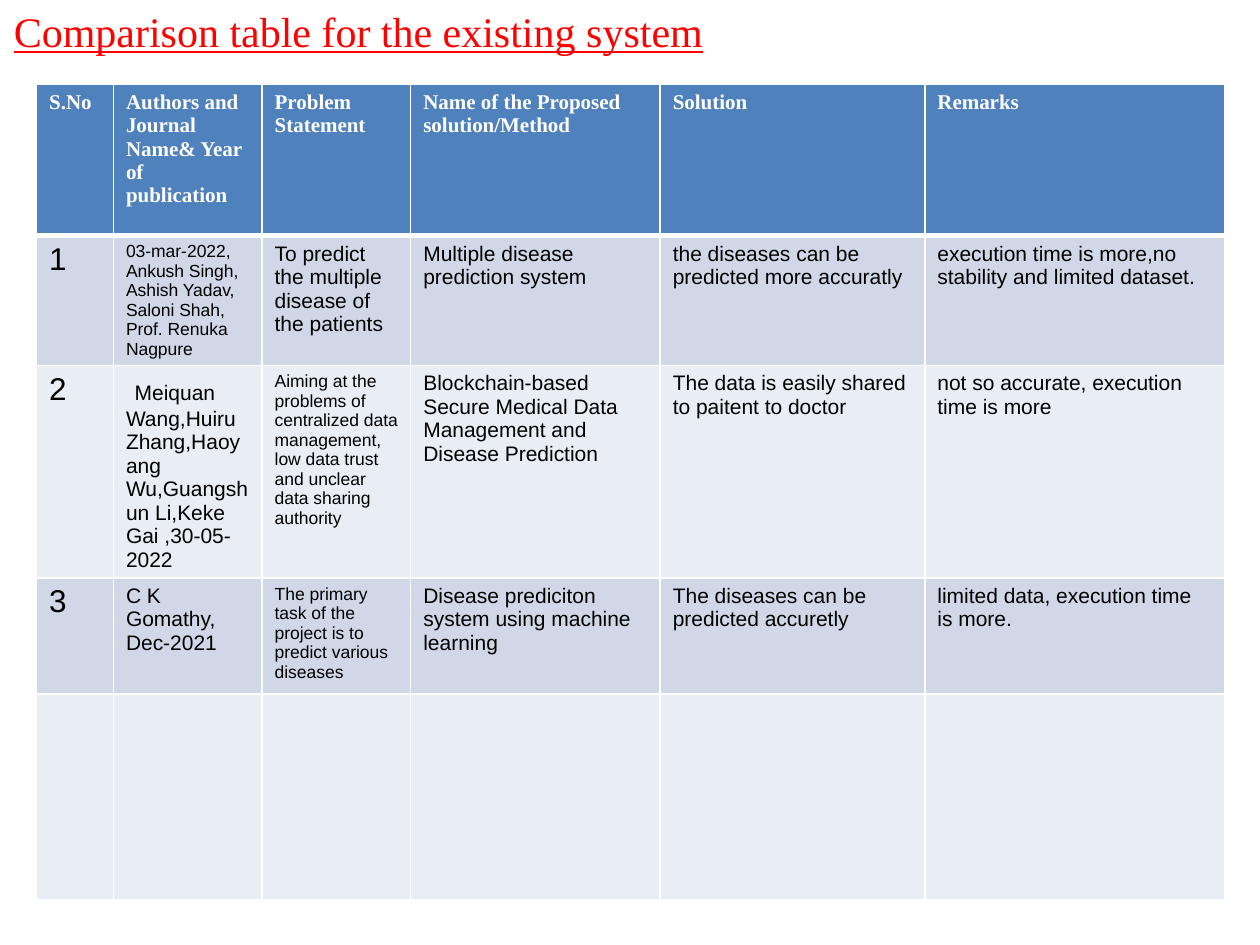
from lxml import etree
from pptx import Presentation
from pptx.dml.color import RGBColor
from pptx.enum import text
from pptx.oxml import ns
from pptx.util import Inches, Pt

COLORS = {"title": "FF0000", "header": "4F81BD", "odd": "D0D8E8",
          "even": "E9EDF4", "white": "FFFFFF", "body": "000000"}
SERIF, SANS = "Times New Roman", "Arial"

COLUMN_WIDTHS = [0.61, 1.18, 1.18, 1.98, 2.1, 2.38]
ROW_HEIGHTS = [1.2, 0.97, 1.58, 0.92, 1.63]
HEADINGS = ["S.No", "Authors and Journal Name& Year of publication",
            "Problem Statement", "Name of the Proposed solution/Method",
            "Solution ", "Remarks"]
# A cell is a list of paragraphs; a paragraph is a list of (text, size) runs
STUDIES = [
    [[[("1", 18)]],
     [[("03-mar-2022,", 10)],
      [("Ankush Singh, Ashish Yadav, Saloni Shah, Prof. Renuka Nagpure", 10)]],
     [[("To predict the multiple disease of the patients", 12)]],
     [[("Multiple disease prediction system", 12)]],
     [[("the diseases can be predicted more accuratly", 12)]],
     [[("execution time is more,no stability and limited dataset.", 12)]]],
    [[[("2", 18)]],
     [[(" ", 18), ("Meiquan Wang,Huiru Zhang,Haoyang Wu,Guangshun Li,"
                   "Keke Gai ,30-05-2022", 12)]],
     [[("Aiming at the problems of centralized data management, "
        "low data trust and unclear data sharing authority", 10)]],
     [[("Blockchain-based Secure Medical Data Management and "
        "Disease Prediction", 12)]],
     [[("The data is easily shared to paitent to doctor", 12)]],
     [[("not so accurate, execution time is more", 12)]]],
    [[[("3", 18)]],
     [[("C K Gomathy,", 12)], [("Dec-2021", 12)]],
     [[("The primary task of the project is to predict various diseases", 10)]],
     [[("Disease prediciton system using machine learning", 12)]],
     [[("The diseases can be predicted accuretly", 12)]],
     [[("limited data, execution time is more.", 12)]]],
]


def rgb(name):
    return RGBColor.from_string(COLORS[name])


def add_run(paragraph, words, size, font_name, color, bold=False):
    run = paragraph.add_run()
    run.text = words
    run.font.size = Pt(size)
    run.font.name = font_name
    run.font.bold = bold
    run.font.color.rgb = rgb(color)
    return run


def set_borders(cell, bottom_width):
    properties = cell._tc.get_or_add_tcPr()
    widths = {"a:lnL": 1, "a:lnR": 1, "a:lnT": 1, "a:lnB": bottom_width}
    for index, (tag, width) in enumerate(widths.items()):
        line = etree.Element(ns.qn(tag), w=str(Pt(width)))
        fill = etree.SubElement(line, ns.qn("a:solidFill"))
        etree.SubElement(fill, ns.qn("a:srgbClr"), val=COLORS["white"])
        properties.insert(index, line)


def fill_cell(cell, paragraphs, fill, font_name, color, bold):
    cell.fill.solid()
    cell.fill.fore_color.rgb = rgb(fill)
    set_borders(cell, 3 if fill == "header" else 1)
    frame = cell.text_frame
    for index, runs in enumerate(paragraphs):
        paragraph = frame.add_paragraph() if index else frame.paragraphs[0]
        for words, size in runs:
            add_run(paragraph, words, size, font_name, color, bold)


def place_title(slide, left, top, width, height):
    title = slide.shapes.title
    title.left, title.top = Inches(left), Inches(top)
    title.width, title.height = Inches(width), Inches(height)
    frame = title.text_frame
    frame.word_wrap = True
    frame.auto_size = text.MSO_AUTO_SIZE.NONE
    frame.vertical_anchor = text.MSO_ANCHOR.TOP
    paragraph = frame.paragraphs[0]
    paragraph.alignment = text.PP_ALIGN.LEFT
    run = add_run(paragraph, "Comparison table for the existing system",
                  24, SERIF, "title")
    run.font.underline = True


def place_comparison(slide, left, top):
    table = slide.shapes.add_table(
        len(ROW_HEIGHTS), len(COLUMN_WIDTHS), Inches(left), Inches(top),
        Inches(sum(COLUMN_WIDTHS)), Inches(sum(ROW_HEIGHTS))).table
    for column, width in zip(table.columns, COLUMN_WIDTHS):
        column.width = Inches(width)
    for row, height in zip(table.rows, ROW_HEIGHTS):
        row.height = Inches(height)

    # Header row, studies, and one row left free
    header = [[[(heading, 12)]] for heading in HEADINGS]
    rows = [header] + STUDIES + [[[] for _ in HEADINGS]]
    for row_index, contents in enumerate(rows):
        if row_index == 0:
            style = ("header", SERIF, "white", True)
        else:
            style = ("odd" if row_index % 2 else "even", SANS, "body", False)
        for column_index, paragraphs in enumerate(contents):
            fill_cell(table.cell(row_index, column_index), paragraphs, *style)


presentation = Presentation()
presentation.slide_width, presentation.slide_height = Inches(10), Inches(7.5)
slide = presentation.slides.add_slide(presentation.slide_layouts[5])
place_title(slide, 0.01, -0.01, 9.83, 0.5)
place_comparison(slide, 0.29, 0.67)
presentation.save("out.pptx")
